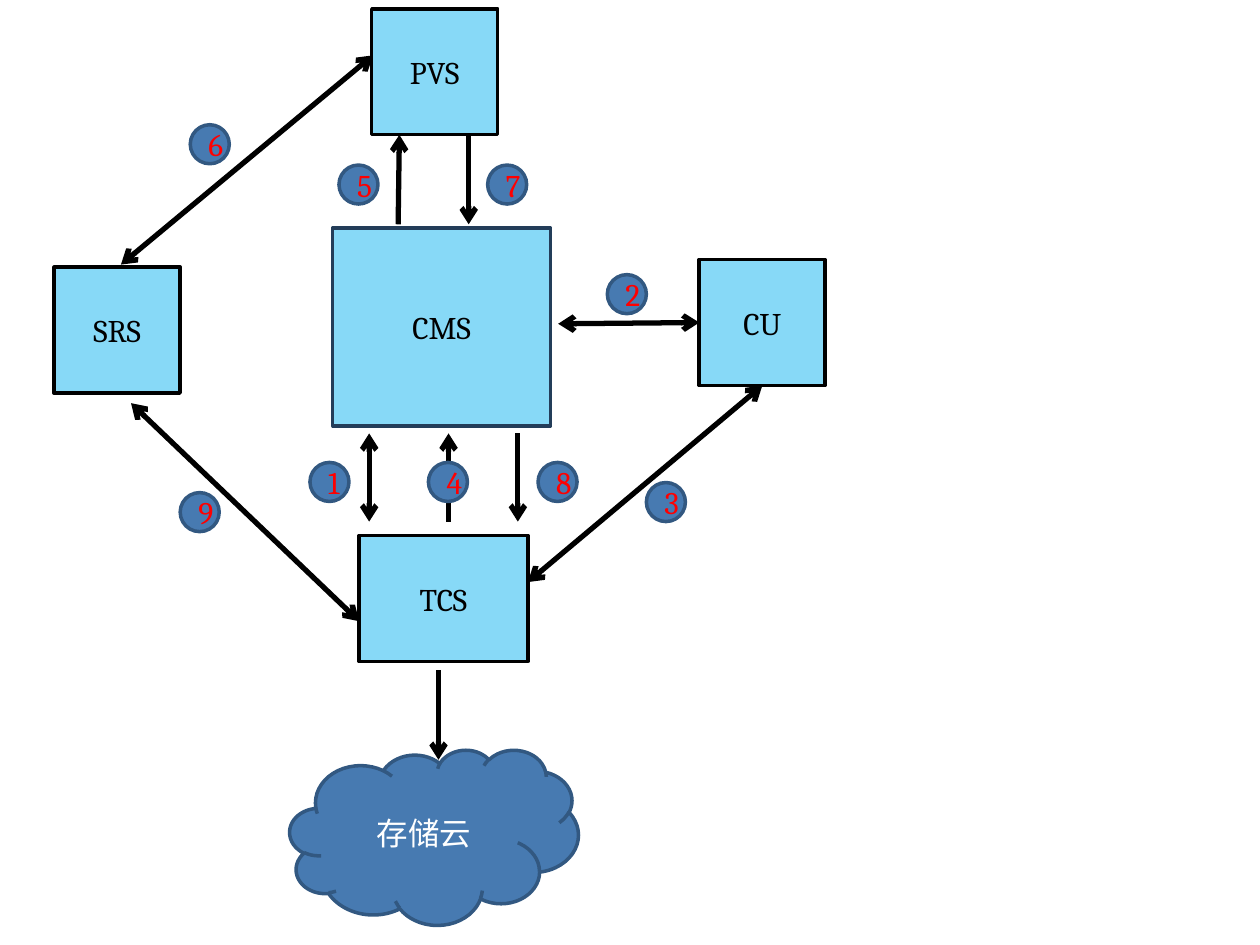
from lxml import etree
from pptx import Presentation
from pptx.dml.color import RGBColor
from pptx.enum.shapes import MSO_CONNECTOR, MSO_SHAPE
from pptx.enum.text import MSO_ANCHOR, PP_ALIGN
from pptx.oxml.ns import qn
from pptx.util import Inches, Pt

RECTANGLE = MSO_SHAPE.RECTANGLE
CIRCLE = MSO_SHAPE.FLOWCHART_CONNECTOR
CLOUD = MSO_SHAPE.CLOUD
STRAIGHT = MSO_CONNECTOR.STRAIGHT
CENTER = PP_ALIGN.CENTER
MIDDLE = MSO_ANCHOR.MIDDLE

BLACK = RGBColor(0x00, 0x00, 0x00)
WHITE = RGBColor(0xFF, 0xFF, 0xFF)
RED = RGBColor(0xFF, 0x00, 0x00)
SKY = RGBColor(0x00, 0xB0, 0xF0)
BLUE = RGBColor(0x47, 0x7A, 0xB1)
EDGE_BLUE = RGBColor(0x32, 0x58, 0x81)
NAVY = RGBColor(0x23, 0x3D, 0x59)

SERVER_OPACITY = 47
STEP_SIZE = 0.31
FONT_FORMAT = {"name": "Cambria", "size": Pt(18)}

# name, left, top, width, height, outline
SERVERS = [
    ("CMS", 2.64, 1.81, 1.73, 1.57, NAVY),
    ("CU", 5.55, 2.06, 1, 1, BLACK),
    ("SRS", 0.43, 2.12, 1, 1, BLACK),
    ("TCS", 2.85, 4.25, 1.34, 1, BLACK),
    ("PVS", 2.95, 0.07, 1, 1, BLACK),
]

# start x, start y, end x, end y, arrow at both ends
LINKS = [
    (2.93, 4.14, 2.93, 3.44, True),   # TCS - CMS
    (3.56, 4.14, 3.56, 3.44, False),  # TCS to CMS
    (4.11, 3.44, 4.11, 4.14, False),  # CMS to TCS
    (3.16, 1.78, 3.17, 1.07, False),  # CMS to PVS
    (3.72, 1.07, 3.72, 1.78, False),  # PVS to CMS
    (4.43, 2.57, 5.55, 2.56, True),   # CMS - CU
    (6.05, 3.06, 4.19, 4.62, True),   # CU - TCS
    (2.96, 0.44, 0.96, 2.10, True),   # PVS - SRS
    (1.04, 3.20, 2.85, 4.93, True),   # SRS - TCS
    (3.48, 5.32, 3.48, 6.03, False),  # TCS to cloud
]

# left and top of each step circle, in the order of the steps
STEPS = [
    (2.46, 3.67), (4.82, 2.18), (5.13, 3.83),
    (3.40, 3.67), (2.69, 1.31), (1.51, 0.99),
    (3.87, 1.31), (4.27, 3.67), (1.43, 3.91),
]


def add_labelled_shape(page, kind, box, label, fill, outline, text_color):
    shape = page.shapes.add_shape(kind, *(Inches(length) for length in box))
    shape.shadow.inherit = False
    shape.fill.solid()
    shape.fill.fore_color.rgb = fill
    shape.line.color.rgb = outline
    shape.line.width = Pt(2)
    frame = shape.text_frame
    frame.word_wrap = True
    frame.vertical_anchor = MIDDLE
    para = frame.paragraphs[0]
    para.alignment = CENTER
    span = para.add_run()
    span.text = label
    for name, value in FONT_FORMAT.items():
        setattr(span.font, name, value)
    span.font.color.rgb = text_color
    return shape


def set_opacity(shape, percent):
    color = shape.fill._xPr.find(qn("a:solidFill"))[0]
    etree.SubElement(color, qn("a:alpha"), val=str(percent * 1000))


def add_server(page, name, left, top, width, height, outline):
    box = (left, top, width, height)
    server = add_labelled_shape(page, RECTANGLE, box, name, SKY, outline, BLACK)
    set_opacity(server, SERVER_OPACITY)


def add_step(page, number, left, top):
    box = (left, top, STEP_SIZE, STEP_SIZE)
    add_labelled_shape(page, CIRCLE, box, str(number), BLUE, EDGE_BLUE, RED)


def add_link(page, start_x, start_y, end_x, end_y, both_ways):
    ends = (Inches(length) for length in (start_x, start_y, end_x, end_y))
    link = page.shapes.add_connector(STRAIGHT, *ends)
    link.line.color.rgb = BLACK
    link.line.width = Pt(3)
    line = link.line._get_or_add_ln()
    for tag in ("a:headEnd", "a:tailEnd") if both_ways else ("a:tailEnd",):
        etree.SubElement(line, qn(tag), type="arrow")
    etree.SubElement(link._element.spPr, qn("a:effectLst"))


def main():
    deck = Presentation()
    deck.slide_width, deck.slide_height = Inches(10), Inches(7.5)
    page = deck.slides.add_slide(deck.slide_layouts[6])
    for server in SERVERS:
        add_server(page, *server)
    add_labelled_shape(page, CLOUD, (2.3, 5.95, 2.29, 1.39), "存储云",
                       BLUE, EDGE_BLUE, WHITE)
    for link in LINKS:
        add_link(page, *link)
    for number, place in enumerate(STEPS, start=1):
        add_step(page, number, *place)
    deck.save("out.pptx")


if __name__ == "__main__":
    main()
